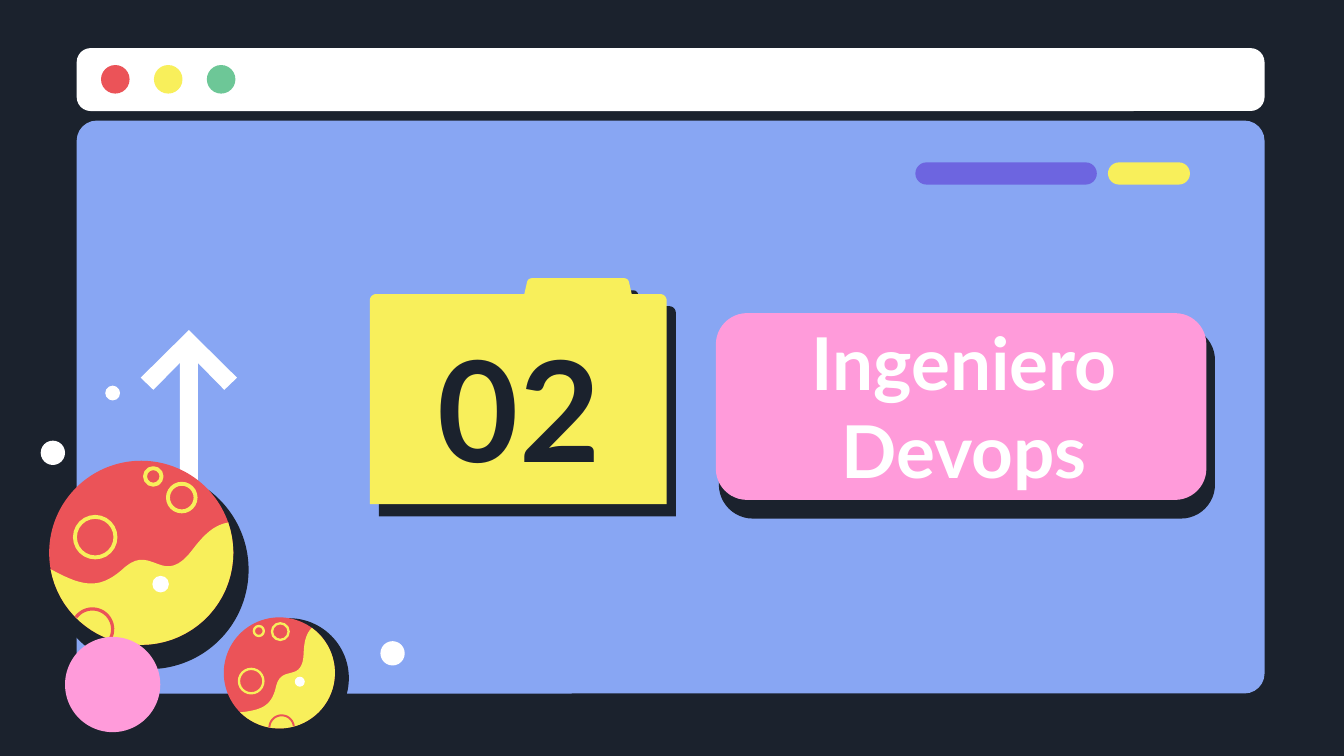
from math import cos, radians, sin

from lxml import etree
from pptx import Presentation
from pptx.dml.color import RGBColor
from pptx.enum.shapes import MSO_SHAPE
from pptx.enum.text import MSO_ANCHOR, PP_ALIGN
from pptx.oxml.ns import qn
from pptx.util import Cm, Pt

OVAL = MSO_SHAPE.OVAL
ROUNDED = MSO_SHAPE.ROUNDED_RECTANGLE
MIDDLE = MSO_ANCHOR.MIDDLE
CENTER = PP_ALIGN.CENTER

COLORS = {
    "navy": "1B222D",
    "blue": "88A6F3",
    "white": "FFFFFF",
    "red": "EB5358",
    "yellow": "F8EF5B",
    "green": "6DC797",
    "purple": "6D65E0",
    "pink": "FF9BDA",
}
MARGIN = Cm(0.25)
FRAME_FORMAT = {
    "word_wrap": True,
    "vertical_anchor": MIDDLE,
    "margin_left": MARGIN,
    "margin_right": MARGIN,
    "margin_top": MARGIN,
    "margin_bottom": MARGIN,
}
PARA_FORMAT = {"alignment": CENTER, "space_before": Pt(0), "line_spacing": 1.0}

WAVE = [
    [(-0.98, 0.18), (-0.6, 0.39), (-0.43, 0.39), (-0.17, 0.15)],
    [(-0.17, 0.15), (0.13, -0.1), (0.24, 0.4), (0.57, -0.05)],
    [(0.57, -0.05), (0.73, -0.26), (0.84, -0.31), (0.95, -0.33)],
]
CRATERS = [(0.44, -0.6, 0.15), (-0.5, -0.17, 0.22), (0.13, -0.83, 0.09)]


def color(name):
    return RGBColor.from_string(COLORS[name])


def arc(x, y, radius, start, end, steps=40):
    angles = [radians(start + (end - start) * i / steps) for i in range(steps + 1)]
    return [(x + radius * cos(a), y + radius * sin(a)) for a in angles]


def bezier(points, steps=16):
    curve = []
    for i in range(steps + 1):
        t = i / steps
        weights = ((1 - t) ** 3, 3 * t * (1 - t) ** 2, 3 * t * t * (1 - t), t ** 3)
        curve.append(tuple(sum(w * p[axis] for w, p in zip(weights, points)) for axis in (0, 1)))
    return curve


class SlideBuilder:
    font = "Lato"

    def __init__(self, deck):
        self.page = deck.slides.add_slide(deck.slide_layouts[0])
        backdrop = self.page.background.fill
        backdrop.solid()
        backdrop.fore_color.rgb = color("navy")

    def paint(self, shape, fill=None, line=None, weight=1):
        shape.shadow.inherit = False
        for target, name in ((shape.fill, fill), (shape.line.fill, line)):
            if name:
                target.solid()
                target.fore_color.rgb = color(name)
            else:
                target.background()
        if line:
            shape.line.width = Pt(weight)
        return shape

    def panel(self, x, y, width, height, radius, fill, **stroke):
        shape = self.page.shapes.add_shape(ROUNDED, Cm(x), Cm(y), Cm(width), Cm(height))
        shape.adjustments[0] = radius
        return self.paint(shape, fill, **stroke)

    def disc(self, x, y, radius, fill=None, **stroke):
        size = Cm(2 * radius)
        shape = self.page.shapes.add_shape(OVAL, Cm(x - radius), Cm(y - radius), size, size)
        return self.paint(shape, fill, **stroke)

    def outline(self, points, fill=None, closed=True, **stroke):
        corners = [(Cm(x), Cm(y)) for x, y in points]
        builder = self.page.shapes.build_freeform(*corners[0])
        builder.add_line_segments(corners[1:], close=closed)
        return self.paint(builder.convert_to_shape(), fill, **stroke)

    def drop_shadow(self, shape, distance, angle, name):
        effects = shape.element.spPr.find(qn("a:effectLst"))
        shadow = etree.SubElement(
            effects, qn("a:outerShdw"), dist=str(Pt(distance)),
            dir=str(angle * 60000), algn="bl", rotWithShape="0")
        etree.SubElement(shadow, qn("a:srgbClr"), val=COLORS[name])

    def heading(self, index, text, x, y, width, height, size, name):
        box = self.page.placeholders[index]
        box.left, box.top, box.width, box.height = Cm(x), Cm(y), Cm(width), Cm(height)
        box.element.getparent().append(box.element)
        frame = box.text_frame
        para = frame.paragraphs[0]
        span = para.add_run()
        span.text = text
        span_format = {"name": self.font, "size": Pt(size), "bold": True}
        for target, values in ((frame, FRAME_FORMAT), (para, PARA_FORMAT), (span.font, span_format)):
            for key, value in values.items():
                setattr(target, key, value)
        span.font.color.rgb = color(name)

    def planet(self, x, y, radius, turn, shade_x, shade_y):
        c, s = cos(radians(turn)), sin(radians(turn))

        def place(points):
            return [(x + radius * (u * c - v * s), y + radius * (u * s + v * c)) for u, v in points]

        self.disc(x + shade_x, y + shade_y, radius * 1.08, "navy")
        self.disc(x, y, radius, "red")
        for u, v, size in CRATERS:
            self.disc(*place([(u, v)])[0], size * radius, line="yellow", weight=1.2 * radius)
        coast = [point for part in WAVE for point in bezier(part)]
        self.outline(place(coast + arc(0, 0, 1, -19, 170)), "yellow")
        self.outline(place(arc(-0.53, 0.83, 0.22, 216, 388)), closed=False, line="red", weight=radius)
        self.disc(*place([(0.21, 0.34)])[0], 0.09 * radius, "white")


def main():
    deck = Presentation()
    deck.slide_width, deck.slide_height = Cm(25.4), Cm(14.29)
    slide = SlideBuilder(deck)

    slide.panel(1.45, 2.28, 22.45, 10.83, 0.035, "blue")
    slide.panel(1.45, 0.91, 22.45, 1.19, 0.223, "white")
    for i, name in enumerate(("red", "yellow", "green")):
        slide.disc(2.18 + i, 1.5, 0.27, name)
    slide.panel(17.3, 3.07, 3.43, 0.42, 0.5, "purple")
    slide.panel(20.94, 3.07, 1.55, 0.42, 0.5, "yellow")

    half_arrow = [(0.17, 10.9), (0.17, 6.86), (0.67, 7.37), (0.91, 7.14), (0, 6.24)]
    slide.outline([(3.57 - x, y) for x, y in half_arrow]
                  + [(3.57 + x, y) for x, y in half_arrow[-2::-1]], "white")

    slide.panel(13.64, 6.22, 9.27, 3.53, 0.167, "navy", line="navy", weight=3)
    slide.panel(13.53, 5.92, 9.27, 3.53, 0.167, "pink")
    folder = slide.outline(
        [(12.6, 9.53), (6.99, 9.53)]
        + arc(7.11, 5.68, 0.12, 180, 270, 8)
        + [(9.91, 5.56)] + arc(10.05, 5.35, 0.09, 190, 270, 8)
        + arc(11.8, 5.35, 0.09, 270, 350, 8) + [(11.94, 5.56)]
        + arc(12.48, 5.68, 0.12, 270, 360, 8), "yellow")
    slide.drop_shadow(folder, 8.2, 53, "navy")
    slide.heading(1, "02", 7.65, 6.43, 4.32, 2.51, 75, "navy")
    slide.heading(0, "Ingeniero Devops", 13.84, 6.2, 8.76, 2.92, 39, "white")

    slide.planet(2.67, 10.45, 1.74, 0, 0.15, 0.32)
    slide.disc(2.13, 12.94, 0.9, "pink")
    slide.planet(5.28, 12.72, 1.05, -35, 0.18, 0.1)
    for x, y, radius in ((1, 8.56, 0.23), (7.42, 12.35, 0.23), (2.13, 7.43, 0.14)):
        slide.disc(x, y, radius, "white")

    deck.save("out.pptx")


if __name__ == "__main__":
    main()
